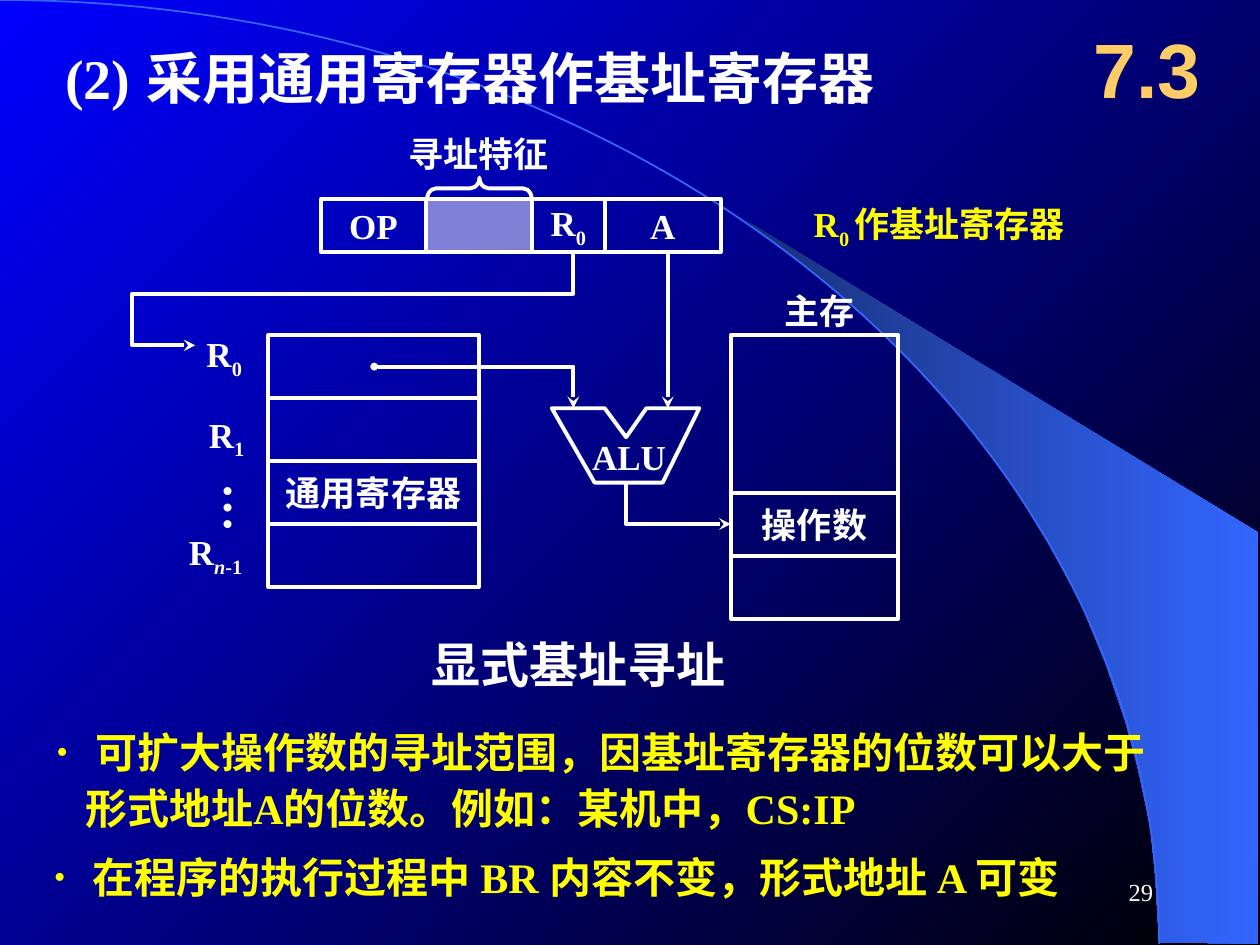
from lxml.etree import SubElement
from pptx import Presentation
from pptx.dml.color import RGBColor
from pptx.enum.shapes import MSO_CONNECTOR, MSO_SHAPE
from pptx.enum.text import MSO_ANCHOR, MSO_AUTO_SIZE, PP_ALIGN
from pptx.oxml.ns import qn
from pptx.util import Inches, Pt

COLORS = {"white": "FFFFFF", "yellow": "FFFF00", "gold": "FFCC66", "blue": "0000FF",
          "black": "000000", "arc": "3366FF", "shade": "182F76"}
SERIF = "Times New Roman"
SUB = {"base": -25}
ROW = 0.5


def rgb(name):
    return RGBColor.from_string(COLORS[name])


def set_gradient(fill, start, end, angle):
    fill.gradient()
    fill.gradient_angle = angle
    for stop, name, pos in zip(fill.gradient_stops, (start, end), (0, 1)):
        stop.color.rgb = rgb(name)
        stop.position = pos


def set_line(sp, color="white", width=2.25, head=None, tail=None):
    sp.line.color.rgb = rgb(color)
    sp.line.width = Pt(width)
    ln = sp.line._get_or_add_ln()
    if head:
        SubElement(ln, qn("a:headEnd"), type=head, w="sm", len="sm")
    if tail:
        SubElement(ln, qn("a:tailEnd"), type=tail)


def add_runs(p, runs, size, color="white", font=SERIF, bold=True):
    for text, opts in runs:
        r = p.add_run()
        r.text = text
        r.font.name = font
        r.font.size = Pt(opts.get("size", size))
        r.font.bold = bold
        r.font.color.rgb = rgb(color)
        if opts.get("italic"):
            r.font.italic = True
        if "base" in opts:
            r._r.get_or_add_rPr().set("baseline", str(opts["base"] * 1000))


def add_text(s, box, runs, size=20, wrap=False, grow=True, align=None, anchor=None, **style):
    tf = s.shapes.add_textbox(*map(Inches, box)).text_frame
    tf.word_wrap = wrap
    if grow:
        tf.auto_size = MSO_AUTO_SIZE.SHAPE_TO_FIT_TEXT
    if anchor:
        tf.vertical_anchor = anchor
    p = tf.paragraphs[0]
    p.alignment = align
    add_runs(p, runs, size, **style)
    return tf


def add_cell(s, box, runs=()):
    sp = s.shapes.add_shape(MSO_SHAPE.RECTANGLE, *map(Inches, box))
    sp.shadow.inherit = False
    sp.fill.background()
    set_line(sp)
    tf = sp.text_frame
    tf.word_wrap = False
    tf.vertical_anchor = MSO_ANCHOR.MIDDLE
    p = tf.paragraphs[0]
    p.alignment = PP_ALIGN.CENTER
    add_runs(p, runs, 20)
    return sp


def add_outline(s, points, close=False):
    pts = [(Inches(x), Inches(y)) for x, y in points]
    builder = s.shapes.build_freeform(*pts[0])
    builder.add_line_segments(pts[1:], close=close)
    sp = builder.convert_to_shape()
    sp.shadow.inherit = False
    sp.fill.background()
    return sp


def add_straight(s, start, end, tail=None):
    ends = map(Inches, (*start, *end))
    line = s.shapes.add_connector(MSO_CONNECTOR.STRAIGHT, *ends)
    set_line(line, tail=tail)
    SubElement(line._element.spPr, qn("a:effectLst"))


def draw_backdrop(s, x, y, w, h):
    set_gradient(s.background.fill, "blue", "black", 315)
    fan = [(9.2, 7.48), (9.99, 7.49), (9.99, 4.23), (5.89, 1.73), (6.24, 1.99), (6.53, 2.22),
           (6.85, 2.5), (7.16, 2.8), (7.62, 3.3), (8.03, 3.84), (8.32, 4.31), (8.58, 4.79),
           (8.78, 5.28), (8.93, 5.72), (9.03, 6.09), (9.13, 6.56), (9.17, 6.96)]
    sp = add_outline(s, [(x + px, y + py) for px, py in fan], close=True)
    set_gradient(sp.fill, "shade", "arc", 0)
    sp.line.fill.background()
    curve = []
    for i in range(81):
        t = i / 80
        u = 1 - t
        curve.append((x + w * (3 * u * u * t * 0.55 + 3 * u * t * t + t ** 3),
                      y + h * (3 * u * t * t * 0.45 + t ** 3)))
    set_line(add_outline(s, curve), "arc", 1)


def draw_header(s, x, y):
    add_text(s, (x, y, 8.05, 0.7),
             [("(2)", {}), (" ", {"size": 36}), ("采用通用寄存器作基址寄存器", {})], 32, wrap=True)
    add_text(s, (x + 8.06, y - 0.16, 1.25, 0.92), [("7.3", {})], 44, wrap=True, grow=False,
             align=PP_ALIGN.CENTER, anchor=MSO_ANCHOR.MIDDLE, color="gold", font="Arial")


def draw_instruction(s, x, y):
    fields = [(0.83, [("OP", {})]), (0.84, []), (0.58, [("R", {}), ("0", SUB)]),
              (0.92, [("A", {})])]
    left = x
    for w, runs in fields:
        sp = add_cell(s, (left, y, w, 0.42), runs)
        if not runs:
            sp.fill.solid()
            sp.fill.fore_color.rgb = rgb("white")
            color = sp._element.spPr.find(qn("a:solidFill"))[0]
            SubElement(color, qn("a:alpha"), val="50000")
        left += w
    brace = s.shapes.add_shape(MSO_SHAPE.LEFT_BRACE, Inches(x + 1.17), Inches(y - 0.5),
                               Inches(0.17), Inches(0.83))
    brace.rotation = 90
    brace.adjustments[0] = 0.42
    brace.shadow.inherit = False
    brace.fill.background()
    set_line(brace)
    add_text(s, (x + 0.59, y - 0.58, 1.31, 0.44), [("寻址特征", {})])
    add_text(s, (x + 3.81, y - 0.02, 2.29, 0.48),
             [("R", {}), ("0 ", SUB), ("作基址寄存器", {})], color="yellow")


def draw_registers(s, x, y, w):
    add_cell(s, (x, y, w, 2 * ROW))
    add_cell(s, (x, y + 2 * ROW, w, ROW), [("通用寄存器", {})])
    add_cell(s, (x, y + 3 * ROW, w, ROW))
    add_straight(s, (x, y + ROW), (x + w, y + ROW))
    labels = [(-0.59, -0.07, 0.5, [("0", SUB)]), (-0.57, 0.57, 0.5, [("1", SUB)]),
              (-0.73, 1.5, 0.72, [("n", {**SUB, "italic": True}), ("-1", SUB)])]
    for dx, dy, lw, index in labels:
        add_text(s, (x + dx, y + dy, lw, 0.48), [("R", {}), *index])
    tf = add_text(s, (x - 0.47, y + 1.08, 0.56, 0.58), [("…", {})], 28, wrap=True)
    tf.margin_left = tf.margin_right = Inches(0.05)
    tf.margin_top = tf.margin_bottom = Inches(0.1)
    tf._txBody.bodyPr.set("vert", "eaVert")


def draw_memory(s, x, y, w):
    add_cell(s, (x, y, w, 1.25))
    add_cell(s, (x, y + 1.25, w, ROW), [("操作数", {})])
    add_cell(s, (x, y + 1.25 + ROW, w, ROW))
    add_text(s, (x + 0.33, y - 0.41, 0.85, 0.44), [("主存", {})])


def draw_alu(s, x, y):
    outline = [(0, 0), (0.42, 0), (0.59, 0.23), (0.75, 0), (1.17, 0), (0.88, 0.59), (0.34, 0.59)]
    set_line(add_outline(s, [(x + px, y + py) for px, py in outline], close=True))
    add_text(s, (x + 0.22, y + 0.17, 0.82, 0.44), [("ALU", {})])


def draw_flows(s, x, y):
    flows = [([(3.5, 0), (3.5, 0.34), (0, 0.34), (0, 0.75), (0.5, 0.75)], None),
             ([(1.92, 0.92), (3.5, 0.92), (3.5, 1.25)], "oval"),
             ([(3.92, 1.84), (3.92, 2.17), (4.75, 2.17)], None)]
    for points, head in flows:
        sp = add_outline(s, [(x + px, y + py) for px, py in points])
        set_line(sp, head=head, tail="stealth")
    add_straight(s, (x + 4.25, y), (x + 4.25, y + 1.25), tail="stealth")


def set_bullet(p, spacing, indent):
    p.line_spacing = spacing
    pPr = p._p.get_or_add_pPr()
    pPr.set("marL", str(Inches(indent)))
    pPr.set("indent", str(-Inches(indent)))
    SubElement(SubElement(pPr, qn("a:buClr")), qn("a:srgbClr"), val=COLORS["yellow"])
    SubElement(pPr, qn("a:buSzPct"), val="80000")
    SubElement(pPr, qn("a:buFont"), typeface=SERIF)
    SubElement(pPr, qn("a:buChar"), char="•")


def draw_notes(s, x, y):
    add_text(s, (x + 2.98, y - 0.69, 2.76, 0.57), [("显式基址寻址", {})], 28, wrap=True)
    tf = add_text(s, (x, y, 9.06, 0.98),
                  [("可扩大操作数的寻址范围，因基址寄存器的位数可以大于", {})], 24,
                  wrap=True, color="yellow")
    set_bullet(tf.paragraphs[0], 1.1, 0.31)
    p = tf.add_paragraph()
    p.line_spacing = 1.1
    p._p.get_or_add_pPr().set("marL", str(Inches(0.23)))
    add_runs(p, [("形式地址A的位数。例如：某机中，CS:IP", {})], 24, "yellow")
    tf = add_text(s, (x - 0.02, y + 0.97, 9, 0.56),
                  [("在程序的执行过程中 BR 内容不变，形式地址 A 可变", {})], 24,
                  wrap=True, color="yellow")
    set_bullet(tf.paragraphs[0], 1.15, 0.31)
    add_text(s, (x + 6.82, y + 1.15, 2.08, 0.5), [("29", {})], 14, wrap=True, grow=False,
             align=PP_ALIGN.RIGHT, anchor=MSO_ANCHOR.MIDDLE, bold=False)


def main():
    prs = Presentation()
    prs.slide_width, prs.slide_height = Inches(10), Inches(7.5)
    s = prs.slides.add_slide(prs.slide_layouts[6])
    draw_backdrop(s, 0, 0, 9.2, 7.49)
    draw_header(s, 0.42, 0.24)
    draw_memory(s, 5.8, 2.66, 1.33)
    draw_alu(s, 4.38, 3.24)
    draw_instruction(s, 2.55, 1.58)
    draw_flows(s, 1.05, 1.99)
    draw_registers(s, 2.13, 2.66, 1.67)
    draw_notes(s, 0.35, 5.68)
    prs.save("out.pptx")


if __name__ == "__main__":
    main()
